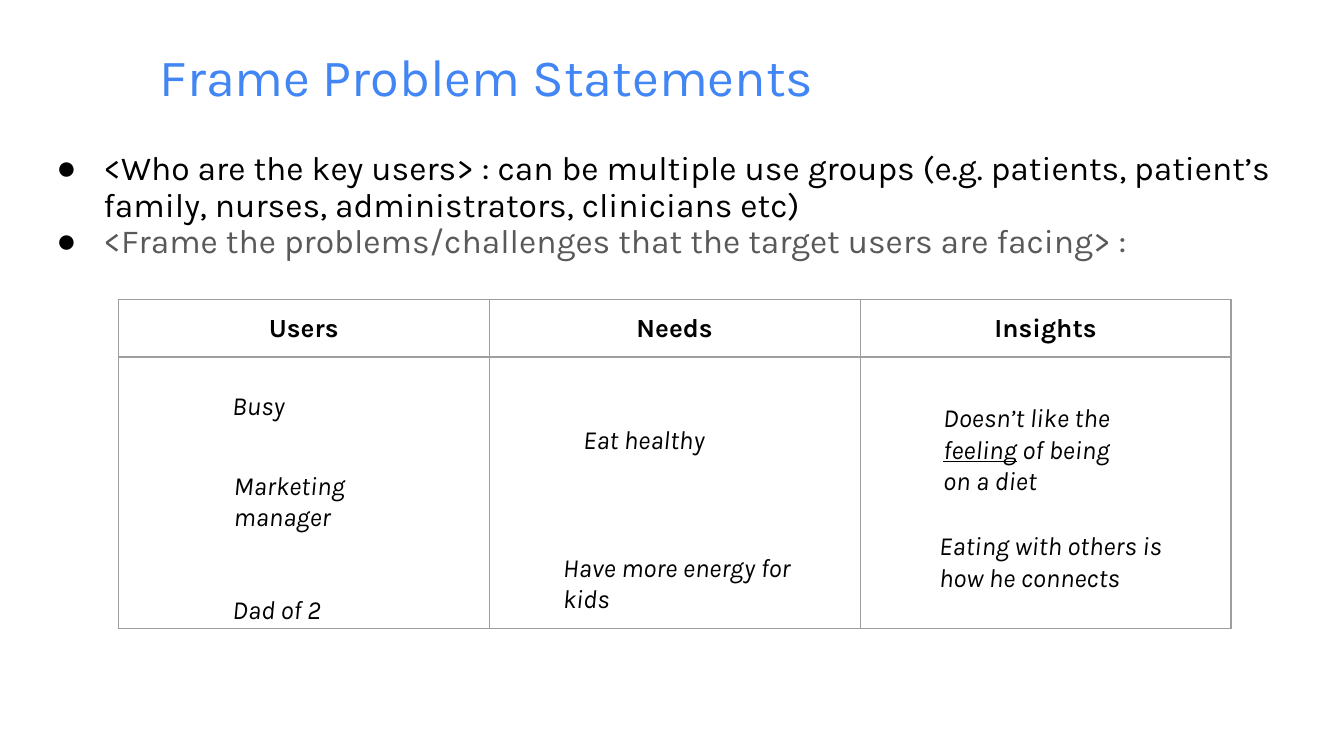
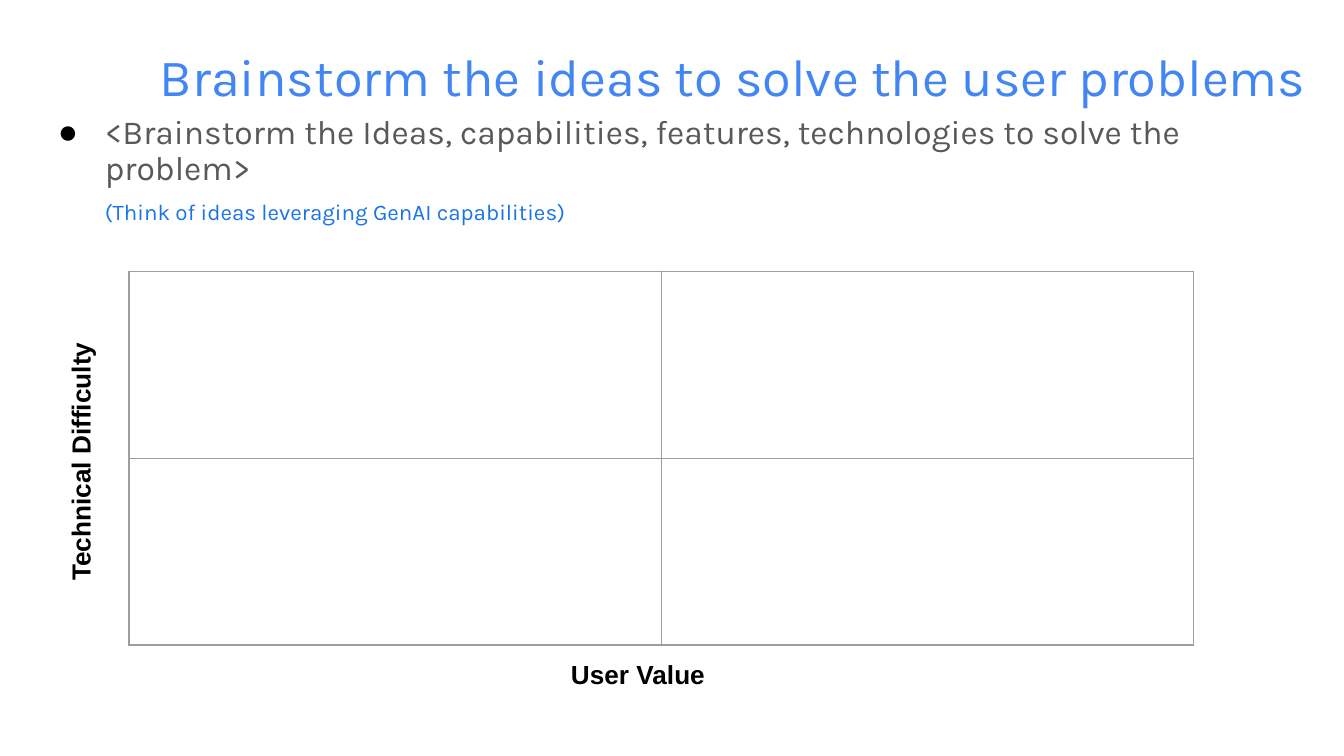
import pptx
import pptx.util
import pptx.dml.color
import pptx.enum.text
import pptx.oxml
import pptx.oxml.ns

Inches, Pt = pptx.util.Inches, pptx.util.Pt
ANCHOR, ALIGN = pptx.enum.text.MSO_ANCHOR, pptx.enum.text.PP_ALIGN
AUTO_SIZE = pptx.enum.text.MSO_AUTO_SIZE

COLORS = {
    "title": "4285F4",
    "black": "000000",
    "gray": "595959",
    "hint": "1A73E8",
    "grid": "9E9E9E",
}
NS = pptx.oxml.ns.nsdecls("a")


def format_text(paragraph, size, color="black", font="Karla", bold=False, italic=False):
    for run in paragraph.runs:
        run.font.name = font
        run.font.size = Pt(size)
        run.font.bold = bold
        run.font.italic = italic
        run.font.color.rgb = pptx.dml.color.RGBColor.from_string(COLORS[color])


def add_grid(slide, left, top, column_width, column_count, row_heights):
    grid = slide.shapes.add_table(
        len(row_heights), column_count, Inches(left), Inches(top),
        Inches(column_width * column_count), Inches(sum(row_heights))).table
    grid.first_row = grid.horz_banding = False
    for column in grid.columns:
        column.width = Inches(column_width)
    for row, height in zip(grid.rows, row_heights):
        row.height = Inches(height)
    for cell in grid.iter_cells():
        cell.margin_left = cell.margin_right = Inches(0.1)
        cell.margin_top = cell.margin_bottom = Inches(0.1)
        for side in ("lnL", "lnR", "lnT", "lnB"):
            cell._tc.get_or_add_tcPr().append(pptx.oxml.parse_xml(
                f'<a:{side} {NS} w="{Pt(0.75)}"><a:solidFill>'
                f'<a:srgbClr val="{COLORS["grid"]}"/></a:solidFill></a:{side}>'))
        cell.fill.background()
    return grid


# Widescreen 16:9 page
prs = pptx.Presentation()
prs.slide_width, prs.slide_height = Inches(10), Inches(10 * 9 / 16)

# Titles and lists: (title, list left, list top, [(text, size, color, bulleted)])
pages = [
    ("Frame Problem Statements", 0.19, 1.09, [
        ("<Who are the key users> : can be multiple use groups (e.g. patients, "
         "patient’s family, nurses, administrators, clinicians etc)", 18, "black", True),
        ("<Frame the problems/challenges that the target users are facing> :",
         18, "gray", True),
    ]),
    ("Brainstorm the ideas to solve the user problems", 0.2, 0.82, [
        ("<Brainstorm the Ideas, capabilities, features, technologies to solve the problem>",
         18, "gray", True),
        ("(Think of ideas leveraging GenAI capabilities)", 12, "hint", False),
    ]),
]
slides = []
for heading, list_left, list_top, items in pages:
    slide = prs.slides.add_slide(prs.slide_layouts[1])
    slides.append(slide)
    title, prompts = slide.shapes.title, slide.placeholders[1]
    title.left, title.top = Inches(1.11), Inches(0.32)
    title.width, title.height = Inches(8.76), Inches(0.52)
    prompts.left, prompts.top = Inches(list_left), Inches(list_top)
    prompts.width, prompts.height = Inches(9.59), Inches(3.98)
    for placeholder, anchor in ((title, ANCHOR.BOTTOM), (prompts, ANCHOR.TOP)):
        frame = placeholder.text_frame
        frame.word_wrap = True
        frame.auto_size = AUTO_SIZE.NONE
        frame.vertical_anchor = anchor
        frame.margin_left = frame.margin_right = Inches(0.08)
        frame.margin_top = frame.margin_bottom = Inches(0.04)

    title.text_frame.text = heading
    title_line = title.text_frame.paragraphs[0]
    title_line.alignment = ALIGN.LEFT
    title_line.line_spacing = 0.9
    format_text(title_line, 28, "title")

    prompts.text_frame.text = "\n".join(item[0] for item in items)
    for prompt, (_, size, color, bulleted) in zip(prompts.text_frame.paragraphs, items):
        properties = prompt._p.get_or_add_pPr()
        properties.set("marL", str(Inches(0.5)))
        properties.set("indent", str(Inches(-0.35 if bulleted else 0)))
        if bulleted:
            properties.append(pptx.oxml.parse_xml(
                f'<a:buClr {NS}><a:srgbClr val="{COLORS["black"]}"/></a:buClr>'))
            properties.append(pptx.oxml.parse_xml(f'<a:buChar {NS} char="●"/>'))
        else:
            properties.append(pptx.oxml.parse_xml(f'<a:buNone {NS}/>'))
        prompt.line_spacing = 0.9
        prompt.space_before = Pt(0 if bulleted else 7)
        format_text(prompt, size, color)

problem_slide, ideas_slide = slides

# Users, needs and insights table
needs_table = add_grid(problem_slide, 0.88, 2.23, 2.76, 3, [0.42, 2.02])
for cell, header in zip(needs_table.rows[0].cells, ("Users", "Needs", "Insights")):
    cell.text_frame.text = header
    header_line = cell.text_frame.paragraphs[0]
    header_line.alignment = ALIGN.CENTER
    format_text(header_line, 14, bold=True)

# Notes over the table: (text pieces, left, top, width, height, anchor)
notes = [
    (["Busy"], 1.63, 2.86, 1.54, 0.31, ANCHOR.MIDDLE),
    (["Marketing manager"], 1.64, 3.53, 1.75, 0.39, ANCHOR.MIDDLE),
    (["Dad of 2"], 1.63, 4.38, 1.75, 0.31, ANCHOR.MIDDLE),
    (["Eat healthy"], 4.24, 3.11, 1.54, 0.31, ANCHOR.MIDDLE),
    (["Have more energy for kids"], 4.09, 4.18, 1.94, 0.31, ANCHOR.MIDDLE),
    (["Doesn’t like the ", "feeling", " of being on a diet"],
     6.92, 2.76, 1.63, 1.16, ANCHOR.MIDDLE),
    (["Eating with others is how he connects"], 6.89, 3.84, 2.03, 1.16, ANCHOR.TOP),
]
for pieces, left, top, width, height, anchor in notes:
    note = problem_slide.shapes.add_textbox(
        Inches(left), Inches(top), Inches(width), Inches(height)).text_frame
    note.word_wrap = True
    note.vertical_anchor = anchor
    note.margin_left = note.margin_right = Inches(0.1)
    note.margin_top = note.margin_bottom = Inches(0.1)
    for piece in pieces:
        run = note.paragraphs[0].add_run()
        run.text = piece
        if piece == "feeling":
            run.font.underline = True
    format_text(note.paragraphs[0], 14, italic=True)

# Value and difficulty matrix with its axis labels
add_grid(ideas_slide, 0.96, 2.02, 3.96, 2, [1.39, 1.39])
for axis, left, top, rotation in (("Technical Difficulty", -0.48, 3.12, 270),
                                  ("User Value", 4.15, 4.8, 0)):
    label = ideas_slide.shapes.add_textbox(
        Inches(left), Inches(top), Inches(2.16), Inches(0.44))
    label.rotation = rotation
    frame = label.text_frame
    frame.word_wrap = True
    frame.auto_size = AUTO_SIZE.SHAPE_TO_FIT_TEXT
    frame.margin_left = frame.margin_right = Inches(0.1)
    frame.margin_top = frame.margin_bottom = Inches(0.1)
    frame.text = axis
    format_text(frame.paragraphs[0], 14, font="Arial", bold=True)

prs.save("out.pptx")
